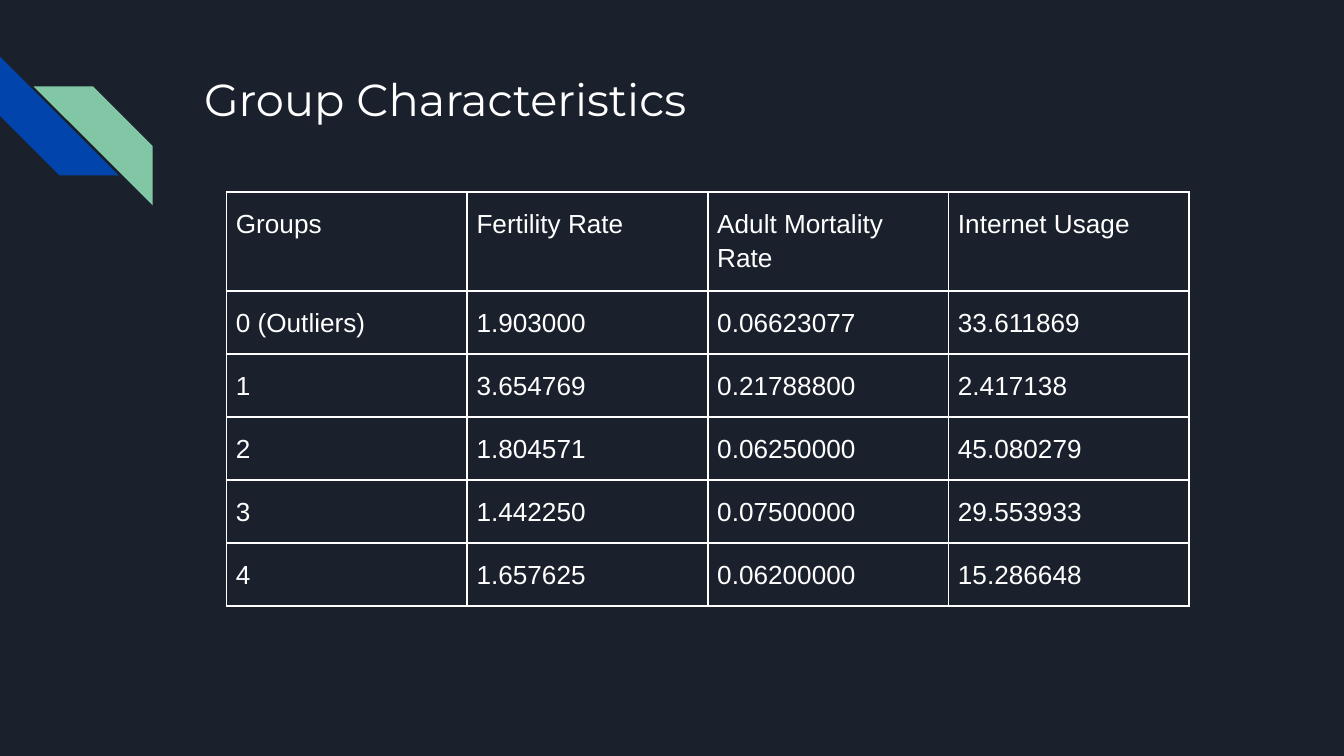
import pptx
import pptx.dml.color
import pptx.enum.shapes
import pptx.enum.text
import pptx.oxml
import pptx.oxml.ns
import pptx.util

COLORS = {"background": "1B212C", "text": "FFFFFF", "blue": "0145AC", "green": "82C7A5"}

GROUPS = [
    ["Groups", "Fertility Rate", "Adult Mortality Rate", "Internet Usage"],
    ["0 (Outliers)", "1.903000", "0.06623077", "33.611869"],
    ["1", "3.654769", "0.21788800", "2.417138"],
    ["2", "1.804571", "0.06250000", "45.080279"],
    ["3", "1.442250", "0.07500000", "29.553933"],
    ["4", "1.657625", "0.06200000", "15.286648"],
]


class SlideBuilder:
    """Draws styled elements on a slide, measured on a square grid 100 columns wide."""

    def __init__(self, deck):
        self.unit = deck.slide_width / 100
        self.page = deck.slides.add_slide(deck.slide_layouts[6])
        self.fill(self.page.background, "background")

    def grid(self, *lengths):
        return [round(length * self.unit) for length in lengths]

    def color(self, name):
        return pptx.dml.color.RGBColor.from_string(COLORS[name])

    def fill(self, target, name):
        target.fill.solid()
        target.fill.fore_color.rgb = self.color(name)

    def style(self, paragraph, font, size):
        paragraph.font.name = font
        paragraph.font.size = pptx.util.Pt(size)
        paragraph.font.color.rgb = self.color("text")

    def stripe(self, column, row, size, rotation, color):
        kind = pptx.enum.shapes.MSO_SHAPE.DIAGONAL_STRIPE
        shape = self.page.shapes.add_shape(kind, *self.grid(column, row, size, size))
        shape.rotation = rotation
        shape.shadow.inherit = False
        shape.line.fill.background()
        self.fill(shape, color)

    def title(self, text, column, row, width, height):
        box = self.page.shapes.add_textbox(*self.grid(column, row, width, height))
        frame = box.text_frame
        frame.word_wrap = True
        frame.vertical_anchor = pptx.enum.text.MSO_ANCHOR.TOP
        frame.margin_left, frame.margin_top, frame.margin_right, frame.margin_bottom = self.grid(1, 1, 1, 1)
        frame.text = text
        self.style(frame.paragraphs[0], "Montserrat", 24)

    def borders(self, cell):
        properties = cell._tc.get_or_add_tcPr()
        for side in ("lnL", "lnR", "lnT", "lnB"):
            properties.append(pptx.oxml.parse_xml(
                f'<a:{side} {pptx.oxml.ns.nsdecls("a")} w="{pptx.util.Pt(1)}"><a:solidFill>'
                f'<a:srgbClr val="{COLORS["text"]}"/></a:solidFill></a:{side}>'))

    def cell(self, cell, text):
        self.borders(cell)
        cell.fill.background()
        cell.margin_left, cell.margin_top, cell.margin_right, cell.margin_bottom = self.grid(0.7, 1, 0.7, 1)
        cell.text = text
        paragraph = cell.text_frame.paragraphs[0]
        paragraph.line_spacing = 1.15
        paragraph.space_before = pptx.util.Pt(12)
        self.style(paragraph, "Arial", 14)

    def table(self, rows, column, row, column_width, frame_size):
        area = self.grid(column, row, column_width * len(rows[0]), frame_size)
        frame = self.page.shapes.add_table(len(rows), len(rows[0]), *area)
        table = frame.table
        table.first_row = table.horz_banding = False
        for table_row, texts in zip(table.rows, rows):
            table_row.height = 0
            for cell, text in zip(table_row.cells, texts):
                self.cell(cell, text)
        frame.width, frame.height = self.grid(frame_size, frame_size)


def main():
    deck = pptx.Presentation()
    deck.slide_width = pptx.util.Inches(10)
    deck.slide_height = deck.slide_width * 9 // 16
    slide = SlideBuilder(deck)
    slide.stripe(0, 4.2, 8.85, 270, "blue")
    slide.stripe(2.5, 6.43, 8.85, 90, "green")
    slide.title("Group Characteristics", 14.2, 4.35, 77, 10)
    slide.table(GROUPS, 16.85, 14.3, 17.91, 32.8)
    deck.save("out.pptx")


if __name__ == "__main__":
    main()
